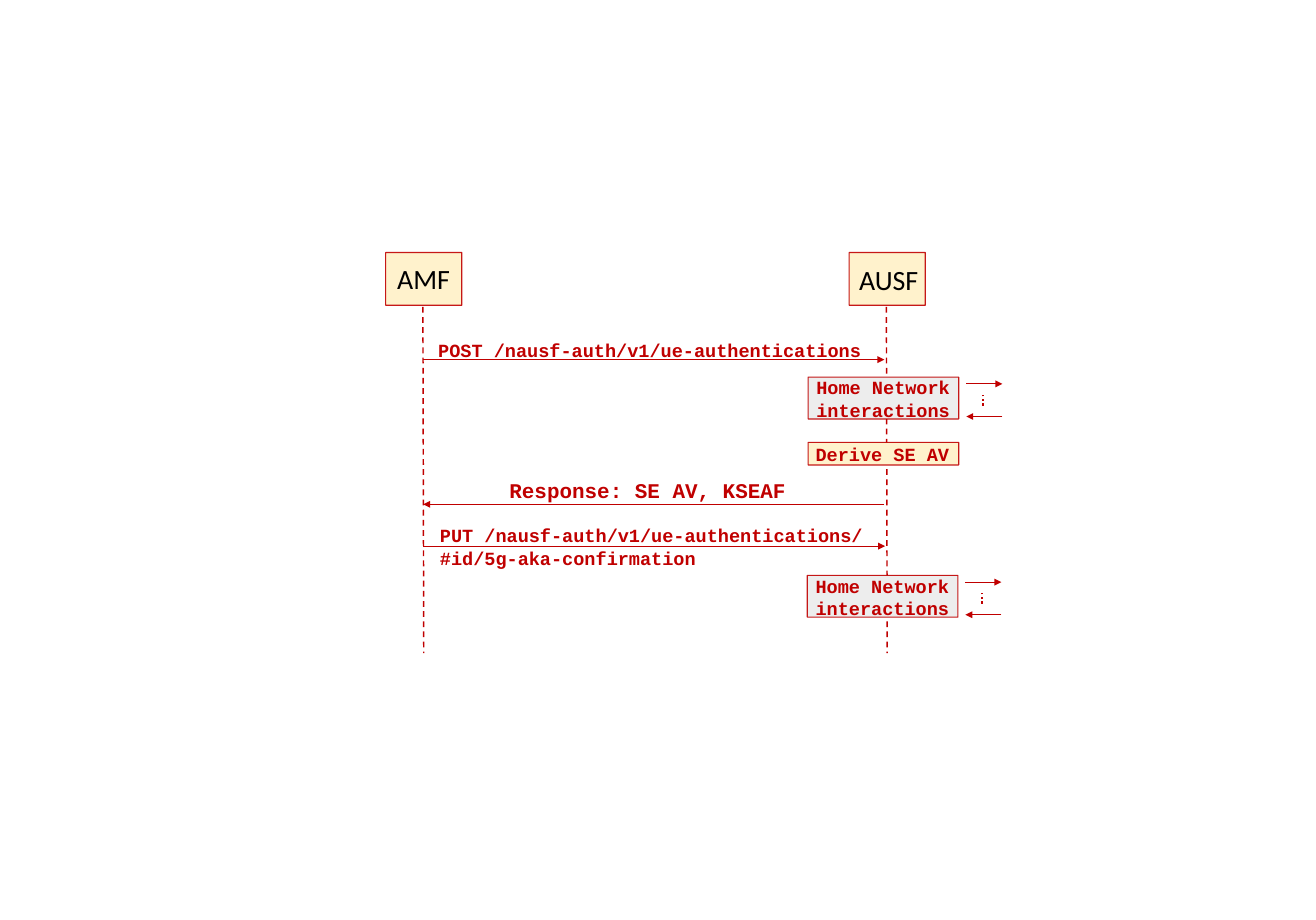
from lxml import etree
from pptx import Presentation
from pptx import util as u
from pptx.dml.color import RGBColor
from pptx.enum import dml, shapes, text
from pptx.oxml import ns

RED, CREAM, GREY, BLACK = "C00000", "FFF2CC", "EDEDED", "000000"
CODE_FONT = "Courier New"


def color(value):
    """Turn a hex string into a colour."""
    return RGBColor.from_string(value)


def add_text(slide, content, left, top, width, height, *, size=16,
             font=CODE_FONT, fill=RED, bold=True, wrap=True):
    """Write text with one paragraph for each line of content."""
    shape = slide.shapes.add_textbox(*map(u.Inches, (left, top, width, height)))
    frame = shape.text_frame
    frame.word_wrap = wrap
    frame.auto_size = text.MSO_AUTO_SIZE.SHAPE_TO_FIT_TEXT
    frame.text = content
    for paragraph in frame.paragraphs:
        run_font = paragraph.runs[0].font
        run_font.size = u.Pt(size)
        run_font.name = font
        run_font.bold = bold
        run_font.color.rgb = color(fill)


def add_box(slide, left, top, width, height, fill):
    """Draw a filled rectangle with a slightly transparent red outline."""
    shape = slide.shapes.add_shape(
        shapes.MSO_SHAPE.RECTANGLE, *map(u.Inches, (left, top, width, height)))
    shape.shadow.inherit = False
    shape.fill.solid()
    shape.fill.fore_color.rgb = color(fill)
    shape.line.color.rgb = color(RED)
    shape.line.width = u.Pt(1)
    outline = shape.line._get_or_add_ln().find(".//" + ns.qn("a:srgbClr"))
    etree.SubElement(outline, ns.qn("a:alpha"), val="90000")


def add_line(slide, start, end, *, weight=0.75, dash=None, arrow=False):
    """Draw a straight red line, with an arrowhead at its end if asked."""
    connector = slide.shapes.add_connector(
        shapes.MSO_CONNECTOR.STRAIGHT, *map(u.Inches, (*start, *end)))
    connector.line.color.rgb = color(RED)
    connector.line.width = u.Pt(weight)
    if dash:
        connector.line.dash_style = dash
    if arrow:
        etree.SubElement(connector.line._get_or_add_ln(), ns.qn("a:tailEnd"),
                         type="triangle")
    etree.SubElement(connector._element.spPr, ns.qn("a:effectLst"))


def add_participant(slide, name, left, top, label_box):
    """Draw a named participant with its lifeline."""
    width, height = 0.91, 0.63
    middle = left + width / 2
    add_line(slide, (middle - 0.01, top + 0.65), (middle, top + 4.79),
             weight=1.25, dash=dml.MSO_LINE.DASH)
    add_box(slide, left, top, width, height, CREAM)
    add_text(slide, name, *label_box, size=24, font="Calibri", fill=BLACK,
             bold=False, wrap=False)


def add_message(slide, content, label_box, start, end, y, size=16):
    """Draw a message arrow at height y with its label."""
    add_line(slide, (start, y), (end, y), arrow=True)
    add_text(slide, content, *label_box, size=size)


def add_network_step(slide, left, top):
    """Draw the home network box with its exchange of arrows."""
    add_box(slide, left, top, 1.8, 0.5, GREY)
    add_text(slide, "Home Network\ninteractions", left, top - 0.06, 1.89, 0.64)
    near, far = left + 1.89, left + 2.32
    request, reply = top + 0.08, top + 0.47
    add_line(slide, (near, request), (far, request), arrow=True)
    add_line(slide, (far, reply), (near, reply), arrow=True)
    add_line(slide, (left + 2.09, top + 0.34), (left + 2.09, top + 0.21),
             weight=2, dash=dml.MSO_LINE.ROUND_DOT)


def add_derive_step(slide, left, top):
    """Draw the vector derivation step."""
    add_box(slide, left, top, 1.8, 0.27, CREAM)
    add_text(slide, "Derive SE AV", left - 0.01, top - 0.04, 1.89, 0.37)


def main():
    """Build the authentication sequence slide."""
    presentation = Presentation()
    presentation.slide_width = u.Inches(15.73)
    presentation.slide_height = u.Inches(11)
    slide = presentation.slides.add_slide(presentation.slide_layouts[6])

    add_participant(slide, "AMF", 4.61, 3.02, (4.65, 3.08, 0.84, 0.5))
    add_participant(slide, "AUSF", 10.15, 3.02, (10.17, 3.09, 0.92, 0.5))

    amf, ausf = 5.06, 10.57
    add_message(slide, "POST /nausf-auth/v1/ue-authentications",
                (5.14, 4, 6.17, 0.37), amf, ausf, 4.3)
    add_message(slide, "Response: SE AV, KSEAF",
                (5.99, 5.66, 5.48, 0.4), ausf, amf, 6.03, size=18)
    add_message(slide, "PUT /nausf-auth/v1/ue-authentications/\n"
                "#id/5g-aka-confirmation",
                (5.16, 6.22, 6.15, 0.64), amf, ausf + 0.01, 6.53)

    add_network_step(slide, 9.66, 4.51)
    add_derive_step(slide, 9.66, 5.29)
    add_network_step(slide, 9.65, 6.88)
    presentation.save("out.pptx")


if __name__ == "__main__":
    main()
